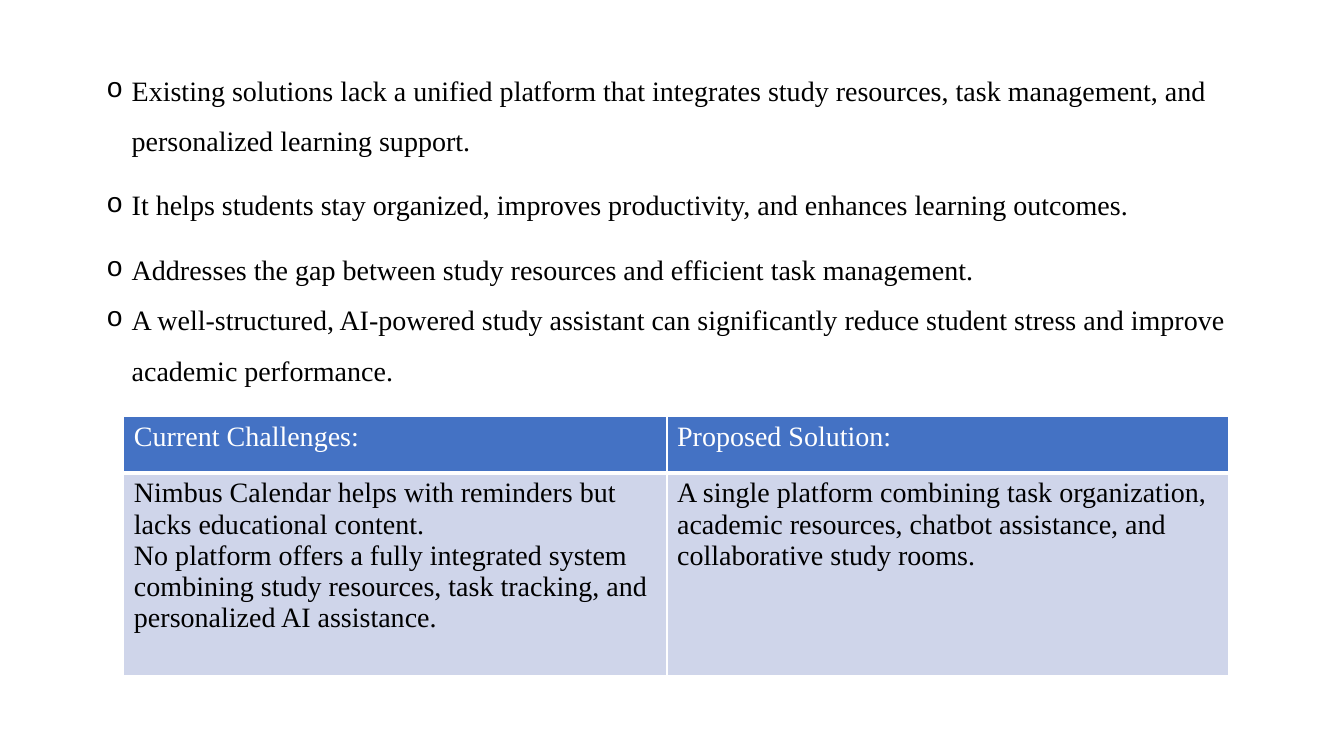
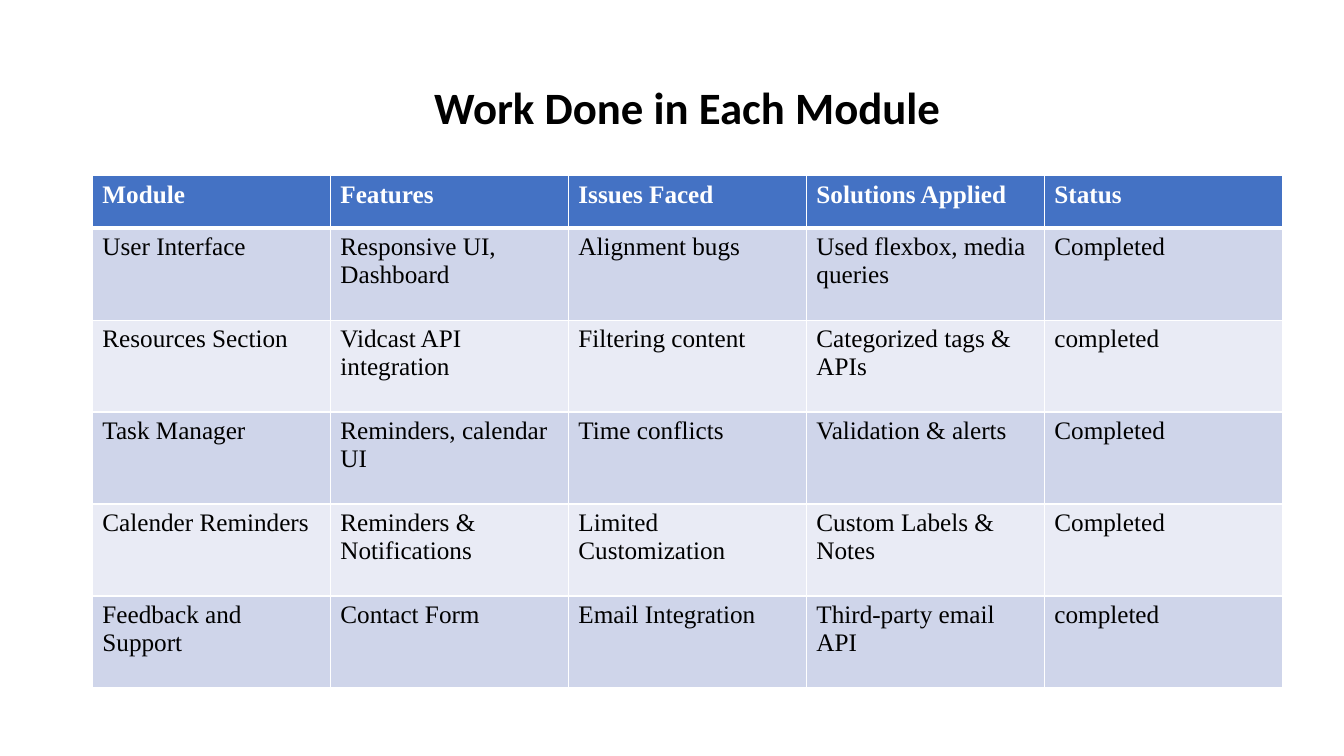
from lxml.etree import SubElement
from pptx import Presentation
from pptx.dml.color import RGBColor
from pptx.enum.text import MSO_ANCHOR, PP_ALIGN
from pptx.oxml.ns import qn
from pptx.util import Pt

COLORS = {"text": "000000", "header": "4472C4", "header_text": "FFFFFF",
          "border": "FFFFFF", "odd_row": "CFD5EA", "even_row": "E9EBF5"}
BODY_FONT, TITLE_FONT = "Times New Roman", "Calibri"


def write(paragraph, text, size=20, font=BODY_FONT, color="text", bold=False,
          align=PP_ALIGN.LEFT, spacing=1.0, before=0):
    paragraph.alignment = align
    paragraph.line_spacing = spacing
    paragraph.space_before = Pt(before)
    run = paragraph.add_run()
    run.text = text
    run.font.size, run.font.name, run.font.bold = Pt(size), font, bold
    run.font.color.rgb = RGBColor.from_string(COLORS[color])


def paragraphs(frame, count):
    """Return the frame's first paragraph followed by new ones, count in all."""
    return [frame.paragraphs[0]] + [frame.add_paragraph() for _ in range(count - 1)]


class Deck:
    def __init__(self):
        self.prs = Presentation()
        self.prs.slide_width, self.prs.slide_height = Pt(960), Pt(540)
        self.slide = None

    def new_slide(self):
        self.slide = self.prs.slides.add_slide(self.prs.slide_layouts[6])

    def text_area(self, left, top, width, height, anchor=MSO_ANCHOR.TOP):
        frame = self.slide.shapes.add_textbox(
            Pt(left), Pt(top), Pt(width), Pt(height)).text_frame
        frame.word_wrap = True
        frame.vertical_anchor = anchor
        return frame

    def title(self, text, left, top, width, height):
        frame = self.text_area(left, top, width, height, MSO_ANCHOR.MIDDLE)
        write(frame.paragraphs[0], text, size=32, font=TITLE_FONT, bold=True,
              align=PP_ALIGN.CENTER, spacing=0.9)

    def bullets(self, points, left, top, width, height, indent=18):
        """Points are pairs of text and space before."""
        frame = self.text_area(left, top, width, height)
        for paragraph, (text, before) in zip(paragraphs(frame, len(points)), points):
            write(paragraph, text, spacing=1.5, before=before)
            props = paragraph._p.get_or_add_pPr()
            props.set("marL", str(Pt(indent)))
            props.set("indent", str(-Pt(indent)))
            SubElement(props, qn("a:buFont"), typeface="Courier New")
            SubElement(props, qn("a:buChar"), char="o")

    def borders(self, cell, row):
        props = cell._tc.get_or_add_tcPr()
        thick_side = {0: "lnB", 1: "lnT"}.get(row)  # rule under the header
        for side in ("lnL", "lnR", "lnT", "lnB"):
            width = Pt(3 if side == thick_side else 1)
            line = SubElement(props, qn("a:" + side), w=str(width))
            fill = SubElement(line, qn("a:solidFill"))
            SubElement(fill, qn("a:srgbClr"), val=COLORS["border"])

    def table(self, rows, left, top, columns, heights, size, bold_header=False):
        table = self.slide.shapes.add_table(
            len(rows), len(columns), Pt(left), Pt(top),
            Pt(sum(columns)), Pt(sum(heights))).table
        for column, width in zip(table.columns, columns):
            column.width = Pt(width)
        for r, (texts, height) in enumerate(zip(rows, heights)):
            table.rows[r].height = Pt(height)
            is_header = r == 0
            fill = "header" if is_header else "odd_row" if r % 2 else "even_row"
            for c, text in enumerate(texts):
                cell = table.cell(r, c)
                self.borders(cell, r)
                cell.fill.solid()
                cell.fill.fore_color.rgb = RGBColor.from_string(COLORS[fill])
                parts = text.split("\n")
                for paragraph, part in zip(paragraphs(cell.text_frame, len(parts)), parts):
                    write(paragraph, part, size=size, bold=is_header and bold_header,
                          color="header_text" if is_header else "text")


def main():
    deck = Deck()

    # Slide 1: motivation and proposed solution
    deck.new_slide()
    motivation = [
        ("Existing solutions lack a unified platform that integrates study resources, "
         "task management, and personalized learning support.", 0),
        ("It helps students stay organized, improves productivity, and enhances "
         "learning outcomes.", 10),
        ("Addresses the gap between study resources and efficient task management.", 10),
        ("A well-structured, AI-powered study assistant can significantly reduce "
         "student stress and improve academic performance.", 0),
    ]
    deck.bullets(motivation, 69, 36.7, 828, 343)
    comparison = [
        ("Current Challenges:", "Proposed Solution:"),
        ("Nimbus Calendar helps with reminders but lacks educational content.\n"
         "No platform offers a fully integrated system combining study resources, "
         "task tracking, and personalized AI assistance.",
         "A single platform combining task organization, academic resources, "
         "chatbot assistance, and collaborative study rooms."),
    ]
    deck.table(comparison, 88.5, 297.5, [388, 401], [40.3, 144.5], size=20)

    # Slide 2: progress by module
    deck.new_slide()
    deck.title("Work Done in Each Module", 77, 26.6, 828, 104.4)
    modules = [
        ("Module", "Features", "Issues Faced", "Solutions Applied", "Status"),
        ("User Interface", "Responsive UI, Dashboard", "Alignment bugs",
         "Used flexbox, media queries", "Completed"),
        ("Resources Section", "Vidcast API integration", "Filtering content",
         "Categorized tags & APIs", "completed"),
        ("Task Manager", "Reminders, calendar UI", "Time conflicts",
         "Validation & alerts", "Completed"),
        ("Calender Reminders", "Reminders & Notifications", "Limited Customization",
         "Custom Labels & Notes", "Completed"),
        ("Feedback and Support", "Contact Form", "Email Integration",
         "Third-party email API", "completed"),
    ]
    deck.table(modules, 66, 125.5, [170] * 5, [37.5] + [65.7] * 5, size=18,
               bold_header=True)

    deck.prs.save("out.pptx")


if __name__ == "__main__":
    main()
